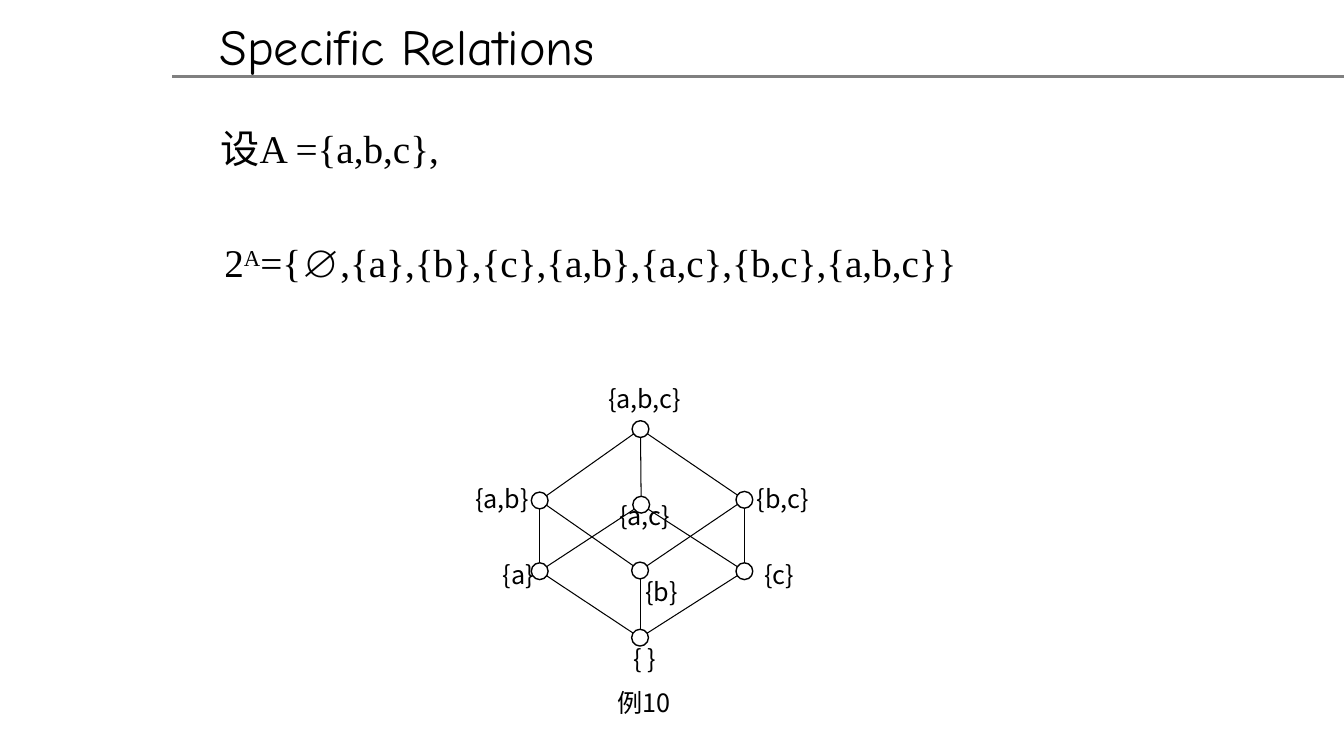
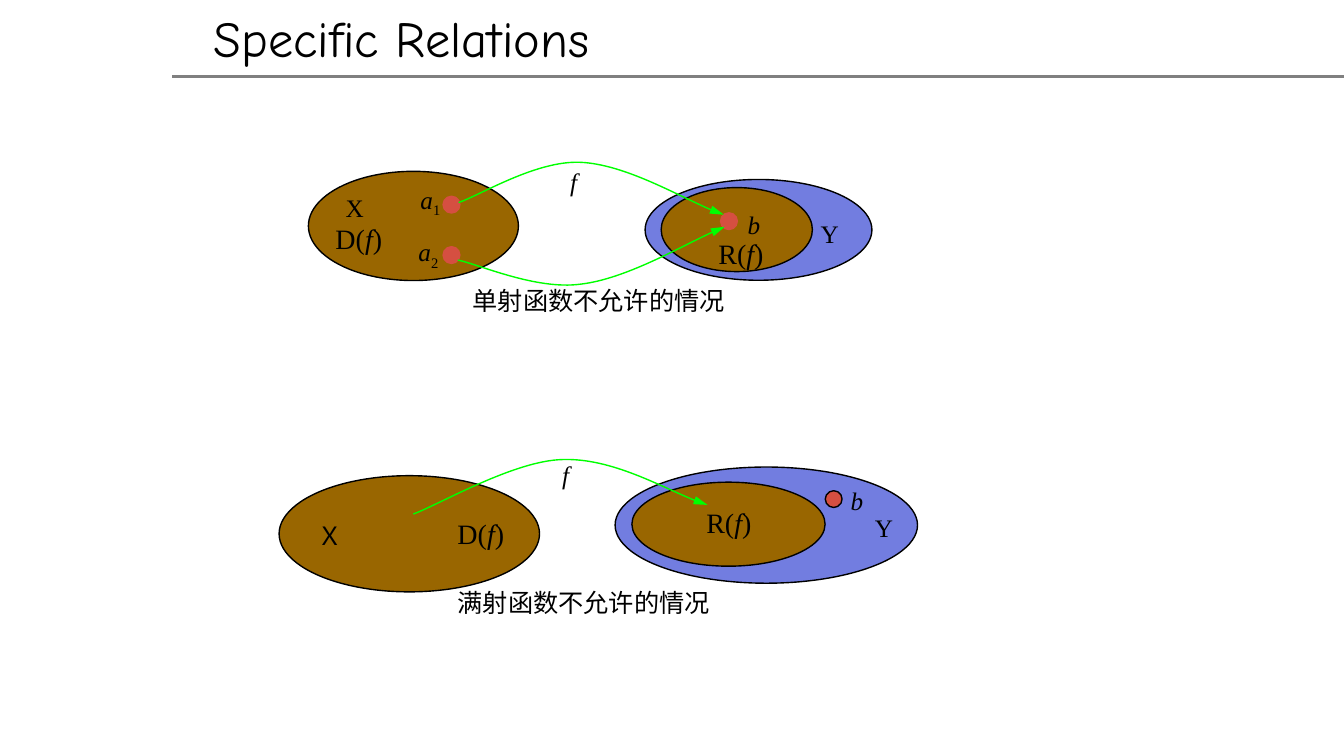
import math
from itertools import combinations

from pptx import Presentation
from pptx.dml.color import RGBColor
from pptx.enum import shapes as kinds, text as txt
from pptx.oxml import ns, xmlchemy
from pptx.util import Pt

BLACK = RGBColor(0x00, 0x00, 0x00)
GRAY = RGBColor(0x80, 0x80, 0x80)
BROWN = RGBColor(0x99, 0x66, 0x00)
VIOLET = RGBColor(0x72, 0x7D, 0xE0)
RED = RGBColor(0xD5, 0x4F, 0x41)
GREEN = RGBColor(0x00, 0xFF, 0x00)

SERIF = "Times New Roman"
SANS = "Noto Sans CJK SC"
TITLE_FONT = "Comic Neue"

DOT = 12  # diameter of element dots and diagram nodes

ITALIC = {"italic": True}
SUB = {"baseline": "-25000"}
SUPER = {"baseline": "30000"}

# Set -> node centre x, y and label centre x, top
HASSE = {
    "": (457.2, 455.5, 460.5, 456),
    "a": (385.5, 408, 370.4, 396),
    "b": (457.2, 407.5, 472.7, 408.2),
    "c": (531.7, 408, 556.6, 396),
    "ab": (385.5, 357.5, 358.5, 342),
    "ac": (458, 360.5, 460.4, 354.2),
    "bc": (531.7, 357, 559.2, 342),
    "abc": (457.5, 306.5, 460.4, 270),
}


def box(*lengths):
    return [Pt(length) for length in lengths]


def write(frame, runs, font, size, align="LEFT"):
    """Fill a text frame with runs, each a (text, format values) pair."""
    side, edge = box(7.2, 3.6)
    frame_format = {
        "word_wrap": True,
        "auto_size": txt.MSO_AUTO_SIZE.NONE,
        "vertical_anchor": txt.MSO_ANCHOR.TOP,
        "margin_left": side, "margin_right": side,
        "margin_top": edge, "margin_bottom": edge,
    }
    for name, value in frame_format.items():
        setattr(frame, name, value)
    paragraph = frame.paragraphs[0]
    paragraph.alignment = getattr(txt.PP_ALIGN, align)
    for words, look in runs:
        run = paragraph.add_run()
        run.text = words
        values = {"name": font, "size": Pt(size), **look}
        props = run._r.get_or_add_rPr()
        for name, value in values.items():
            if name == "baseline":
                props.set(name, value)
            else:
                setattr(run.font, name, value)
        run.font.color.rgb = BLACK
        east = xmlchemy.OxmlElement("a:ea")
        east.set("typeface", SANS)
        props.find(ns.qn("a:latin")).addnext(east)


def add_text(shapes, place, runs, font, size, align="LEFT"):
    write(shapes.add_textbox(*box(*place)).text_frame, runs, font, size, align)


def add_label(shapes, center, top, runs, font=SERIF, size=18, width=90):
    add_text(shapes, (center - width / 2, top, width, 30), runs, font, size, "CENTER")


def add_ellipse(shapes, place, fill=None, outline=BLACK):
    ellipse = shapes.add_shape(kinds.MSO_SHAPE.OVAL, *box(*place))
    ellipse.shadow.inherit = False
    if fill is None:
        ellipse.fill.background()
    else:
        ellipse.fill.solid()
        ellipse.fill.fore_color.rgb = fill
    ellipse.line.color.rgb = outline
    ellipse.line.width = Pt(1)


def add_dot(shapes, x, y, fill=None, outline=BLACK):
    add_ellipse(shapes, (x - DOT / 2, y - DOT / 2, DOT, DOT), fill, outline)


def add_line(shapes, start, end, color=BLACK, width=0.75):
    line = shapes.add_connector(kinds.MSO_CONNECTOR.STRAIGHT, *box(*start, *end))
    line.line.color.rgb = color
    line.line.width = Pt(width)
    line._element.spPr.append(xmlchemy.OxmlElement("a:effectLst"))


def add_mapping(shapes, points):
    """Draw a green arrow along cubic curves: a start, then three points per curve."""
    start, *rest = [box(*point) for point in points]
    builder = shapes.build_freeform(*start)
    builder.add_line_segments(rest, close=False)
    arrow = builder.convert_to_shape()
    arrow.shadow.inherit = False
    arrow.fill.background()
    arrow.line.color.rgb = GREEN
    arrow.line.width = Pt(1)
    head = xmlchemy.OxmlElement("a:tailEnd")
    head.set("type", "triangle")
    head.set("len", "lg")
    arrow.line._get_or_add_ln().append(head)

    outline = arrow._element.find(".//" + ns.qn("a:path"))
    segments = outline.findall(ns.qn("a:lnTo"))
    for first in range(0, len(segments), 3):
        curve = xmlchemy.OxmlElement("a:cubicBezTo")
        for segment in segments[first:first + 3]:
            curve.append(segment[0])
            outline.remove(segment)
        outline.append(curve)


def add_titled_slide(deck, left, top):
    slide = deck.slides.add_slide(deck.slide_layouts[5])
    add_line(slide.shapes, (123, 54.7), (960, 54.7), GRAY, 2)
    title = slide.shapes.title
    title.left, title.top, title.width, title.height = box(left, top, 440, 51)
    write(title.text_frame, [("Specific Relations", {})], TITLE_FONT, 36)
    return slide.shapes


def add_hasse_diagram(shapes):
    for lower, upper in combinations(HASSE, 2):
        if len(upper) - len(lower) == 1 and set(lower) < set(upper):
            (x1, y1), (x2, y2) = HASSE[lower][:2], HASSE[upper][:2]
            reach = DOT / 2 / math.hypot(x2 - x1, y2 - y1)
            dx, dy = (x2 - x1) * reach, (y2 - y1) * reach
            add_line(shapes, (x1 + dx, y1 + dy), (x2 - dx, y2 - dy))
    for members, (x, y, center, top) in HASSE.items():
        words = "{" + (",".join(members) or " ") + "}"
        add_label(shapes, center, top, [(words, {})], SANS)
        add_dot(shapes, x, y)
    add_label(shapes, 460, 487.4, [("例10", {})], SANS)


def of_f(letter):
    return [(letter + "(", {}), ("f", ITALIC), (")", {})]


def add_function_diagram(shapes, ellipses, dots, labels, sets, caption, mappings):
    for place, fill in ellipses:
        add_ellipse(shapes, place, fill)
    for x, y, outline in dots:
        add_dot(shapes, x, y, RED, outline)
    for center, top, runs in labels:
        add_label(shapes, center, top, runs)
    for center, top, letter in sets:
        add_label(shapes, center, top, of_f(letter), size=20)
    center, top, words = caption
    add_label(shapes, center, top, [(words, {})], width=210)
    for points in mappings:
        add_mapping(shapes, points)


def add_power_set_slide(deck):
    shapes = add_titled_slide(deck, 149.5, 7.2)
    add_text(shapes, (150.5, 85.2, 250, 41), [("设A ={a,b,c},", {})], SERIF, 28)
    power_set = [("2", {}), ("A", SUPER), ("={∅,{a},{b},{c},{a,b},{a,c},{b,c},{a,b,c}}", {})]
    add_text(shapes, (153.2, 167, 600, 41), power_set, SERIF, 28)
    add_hasse_diagram(shapes.add_group_shape().shapes)


def add_functions_slide(deck):
    shapes = add_titled_slide(deck, 145.5, 1.4)
    add_function_diagram(
        shapes.add_group_shape().shapes,
        ellipses=[((220.3, 122.4, 150, 78), BROWN), ((460.8, 128.2, 162, 72), VIOLET),
                  ((472.3, 134, 108, 60), BROWN)],
        dots=[(322.5, 146.2, RED), (322.5, 182.2, RED), (520.7, 158, RED)],
        labels=[(307.4, 128, [("a", ITALIC), ("1", SUB)]),
                (306, 165.6, [("a", ITALIC), ("2", SUB)]),
                (538.6, 146.2, [("b", ITALIC)]), (253.4, 134, [("X", {})]),
                (592.6, 152.4, [("Y", {})]), (409.7, 115.2, [("f", ITALIC)])],
        sets=[(256.3, 154.8, "D"), (529.2, 165.2, "R")],
        caption=(427.7, 200, "单射函数不允许的情况"),
        mappings=[
            [(327.6, 144.7), (342.7, 139.7), (383, 114.5), (414.7, 116),
             (446.4, 117.4), (495.4, 146.2), (517, 153.4)],
            [(327, 185.8), (341.3, 188.6), (383, 207.4), (414.7, 203),
             (446.4, 199.4), (496, 170.6), (517.7, 162)],
        ],
    )
    add_function_diagram(
        shapes.add_group_shape().shapes,
        ellipses=[((439.4, 333.6, 216, 83), VIOLET), ((451.4, 344.4, 138, 60), BROWN),
                  ((199.4, 339.8, 186, 83), BROWN)],
        dots=[(595.5, 356.5, BLACK)],
        labels=[(612, 343, [("b", ITALIC)]), (631.5, 362.4, [("Y", {})]),
                (235.8, 368, [("Ｘ", {})]), (404, 324.7, [("f", ITALIC)])],
        sets=[(343.4, 365.4, "D"), (520.6, 357.8, "R")],
        caption=(417, 416, "满射函数不允许的情况"),
        mappings=[
            [(295.2, 367.2), (313.2, 360.7), (367.2, 329), (401.8, 328.3),
             (437, 327), (483.8, 354.2), (505.4, 360.7)],
        ],
    )


def main():
    deck = Presentation()
    deck.slide_width, deck.slide_height = box(960, 540)
    add_power_set_slide(deck)
    add_functions_slide(deck)
    deck.save("out.pptx")


if __name__ == "__main__":
    main()
